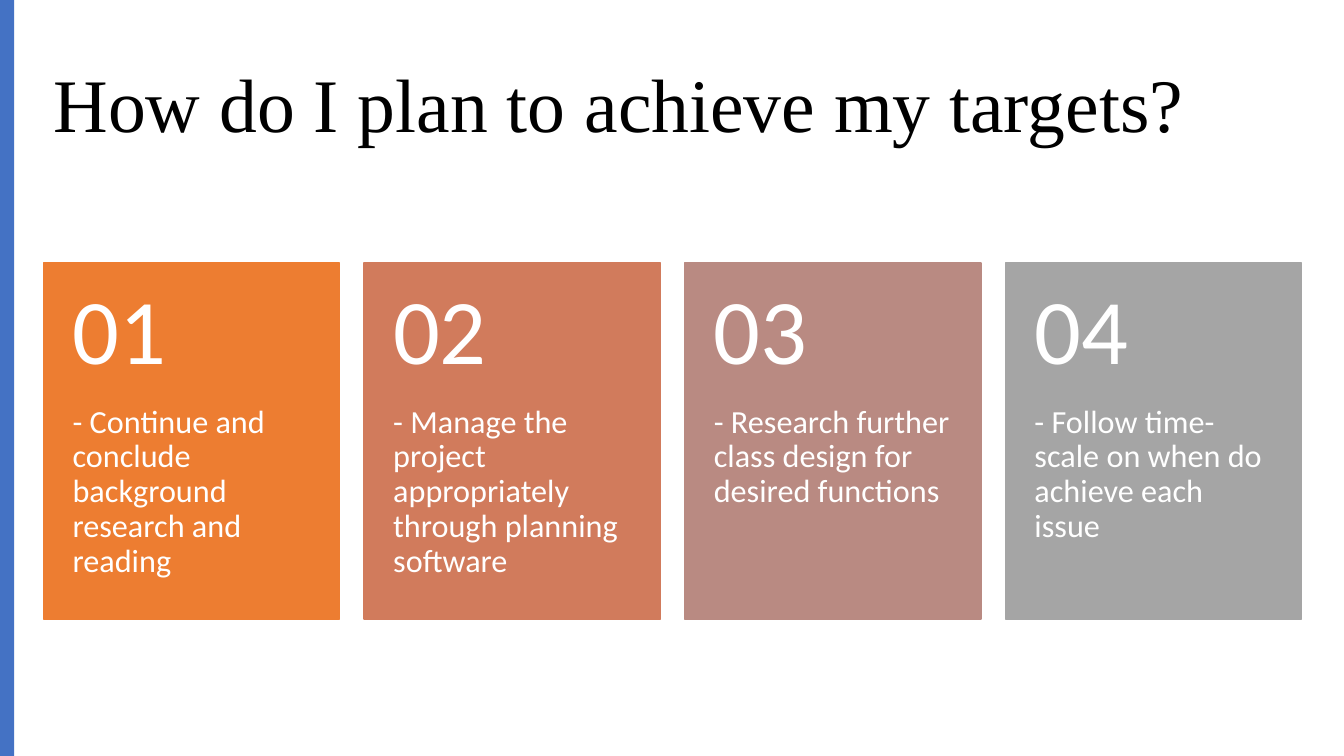
from pptx import Presentation
from pptx.dml.color import RGBColor
from pptx.enum.shapes import MSO_SHAPE
from pptx.enum.text import MSO_ANCHOR, PP_ALIGN
from pptx.util import Pt

PX = 9144
RECTANGLE = MSO_SHAPE.RECTANGLE
TOP, MIDDLE = MSO_ANCHOR.TOP, MSO_ANCHOR.MIDDLE
LEFT = PP_ALIGN.LEFT
TITLE_ONLY = 5
SLIDE_WIDTH, SLIDE_HEIGHT = 1333, 750
COLORS = {"title": "000000", "accent": "4472C4", "card_text": "FFFFFF"}
STEPS = [
    ("- Continue and conclude background research and reading", "ED7D31"),
    ("- Manage the project appropriately through planning software", "D17B5C"),
    ("- Research further class design for desired functions", "B98A82"),
    ("- Follow time-scale on when do achieve each issue", "A5A5A5"),
]


def to_emu(box):
    """Turn a box of px lengths into EMU."""
    return [length * PX for length in box]


def write_text(shape, text, size, font, color, anchor, insets):
    """Write one left-aligned paragraph into a shape."""
    frame = shape.text_frame
    frame.word_wrap = True
    frame.vertical_anchor = anchor
    sides = ("margin_left", "margin_top", "margin_right", "margin_bottom")
    for side, inset in zip(sides, to_emu(insets)):
        setattr(frame, side, inset)
    para = frame.paragraphs[0]
    for name, value in {"alignment": LEFT, "line_spacing": 0.9}.items():
        setattr(para, name, value)
    span = para.add_run()
    span.text = text
    for name, value in {"size": Pt(size), "name": font}.items():
        setattr(span.font, name, value)
    span.font.color.rgb = RGBColor.from_string(color)


def add_rectangle(shapes, box, color, outlined=False):
    """Add a plain rectangle, with a line of its own colour if outlined."""
    rectangle = shapes.add_shape(RECTANGLE, *to_emu(box))
    rectangle.shadow.inherit = False
    rectangle.fill.solid()
    rectangle.fill.fore_color.rgb = RGBColor.from_string(color)
    if outlined:
        rectangle.line.color.rgb = RGBColor.from_string(color)
        rectangle.line.width = Pt(1)
    else:
        rectangle.line.fill.background()


def place_title(page, box, text):
    """Move and format the title placeholder."""
    title = page.shapes.title
    for name, value in zip(("left", "top", "width", "height"), to_emu(box)):
        setattr(title, name, value)
    write_text(title, text, 54, "Times New Roman", COLORS["title"], MIDDLE, (10, 5, 10, 5))


def add_card(shapes, box, number, text, color):
    """Add a card with its number above its description."""
    left, top, width, height = box
    number_height = 141
    add_rectangle(shapes, box, color, outlined=True)
    parts = [
        (text, 23, top + number_height, height - number_height, TOP, (29, 0, 29, 36)),
        (number, 66, top, number_height, MIDDLE, (29, 18, 29, 18)),
    ]
    for content, size, part_top, part_height, anchor, insets in parts:
        part = shapes.add_textbox(*to_emu((left, part_top, width, part_height)))
        write_text(part, content, size, "Calibri", COLORS["card_text"], anchor, insets)


def add_cards(page, box, gap):
    """Spread one card per step evenly across the box."""
    left, top, width, height = box
    card_width = (width - gap * (len(STEPS) - 1)) // len(STEPS)
    group = page.shapes.add_group_shape()
    for index, (text, color) in enumerate(STEPS):
        card_box = (left + index * (card_width + gap), top, card_width, height)
        add_card(group.shapes, card_box, f"{index + 1:02}", text, color)


def main():
    """Build and save the deck."""
    deck = Presentation()
    deck.slide_width, deck.slide_height = to_emu((SLIDE_WIDTH, SLIDE_HEIGHT))
    page = deck.slides.add_slide(deck.slide_layouts[TITLE_ONLY])
    place_title(page, (43, 35, 1248, 145), "How do I plan to achieve my targets?")
    add_rectangle(page.shapes, (0, 0, 14, SLIDE_HEIGHT), COLORS["accent"])
    add_cards(page, (43, 261, 1248, 353), 24)
    deck.save("out.pptx")


if __name__ == "__main__":
    main()
